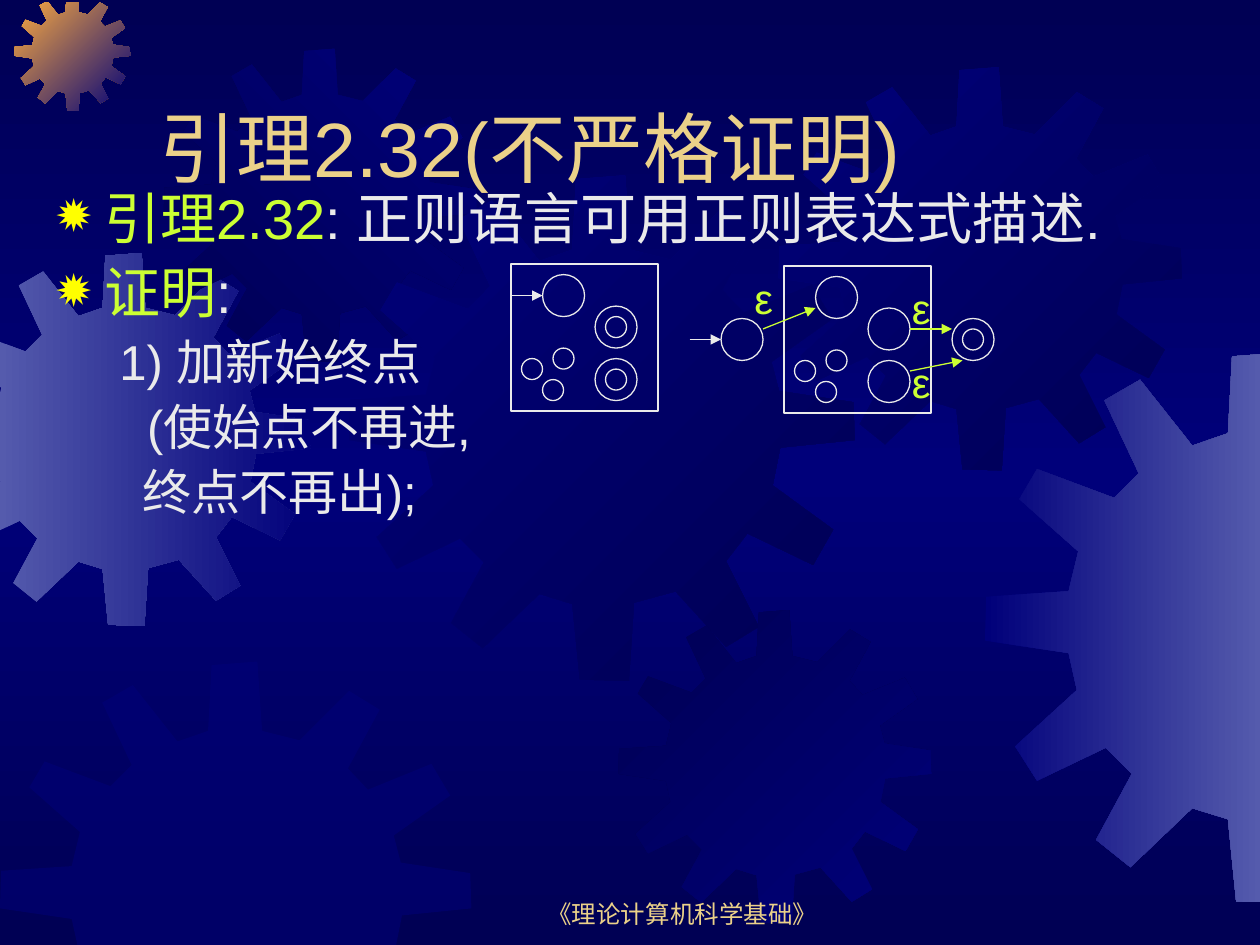
from copy import deepcopy

from pptx import Presentation
from pptx import util as u
from pptx.dml.color import RGBColor
from pptx.enum import shapes, text
from pptx.oxml import ns, parse_xml

NAVY, BLUE = RGBColor(0x00, 0x00, 0x54), RGBColor(0x00, 0x00, 0x7A)
LILAC, ORANGE = RGBColor(0x55, 0x5B, 0xAD), RGBColor(0xFC, 0xAB, 0x40)
GOLD, LIME = RGBColor(0xEB, 0xD1, 0x89), RGBColor(0xCC, 0xFF, 0x33)
YELLOW, PALE = RGBColor(0xFF, 0xFF, 0x00), RGBColor(0xEA, 0xEA, 0xEA)

COLUMNS, ROWS = 120, 90
UNIT = u.Inches(10) / COLUMNS
GEAR_EDGES = [(0, -0.12, 1), (0, COLUMNS + 0.12, -1), (1, 0.24, 1), (1, ROWS + 0.48, -1)]
GEAR_SPAN = 401
GEAR_OUTLINE = [
    (255, 67), (223, 59), (219, 0), (180, 3), (177, 59), (151, 68), (113, 20), (87, 35),
    (112, 88), (94, 106), (38, 85), (25, 107), (68, 145), (61, 174), (1, 178), (0, 210),
    (61, 219), (67, 246), (22, 287), (38, 312), (88, 288), (107, 307), (81, 355), (106, 375),
    (151, 332), (177, 340), (183, 400), (222, 401), (226, 339), (259, 330), (299, 374), (325, 358),
    (299, 306), (316, 284), (368, 309), (384, 281), (336, 246), (342, 216), (401, 210), (400, 180),
    (341, 171), (335, 148), (383, 114), (367, 87), (313, 109), (296, 91), (323, 41), (297, 25)]
GEARS = [
    (-5.9, 24.1, 35.5, (LILAC, BLUE), 0),
    (1.4, -0.44, 11, (ORANGE, BLUE), 45),
    (15.6, 4.65, 29.8, (NAVY, BLUE), 315),
    (33.25, 16.7, 48.15, (BLUE, NAVY), 45),
    (0, 63, 44.9, (BLUE,), 0),
    (58.9, 58.1, 29.8, (NAVY, BLUE), 45),
    (74.15, 6.4, 38.4, (BLUE, NAVY), 45),
    (93.8, 33.55, 52.45, (BLUE, LILAC), 0)]


def grid(*lengths):
    """Turn grid lengths into EMU."""
    return [u.Emu(round(length * UNIT)) for length in lengths]


def apply(target, values):
    """Set each named attribute of the target."""
    for name, value in values.items():
        setattr(target, name, value)


def paint_gradient(fill, colors, angle):
    """Fill with two colours along a clockwise angle."""
    fill.gradient()
    fill.gradient_angle = -angle % 360
    for stop, position, color in zip(fill.gradient_stops, (0, 1), colors):
        stop.position = position
        stop.color.rgb = color


def paint_background(slide):
    """Paint the slide from navy through blue and back to navy."""
    fill = slide.background.fill
    paint_gradient(fill, (NAVY, BLUE), 90)
    stops = slide.element.find(".//" + ns.qn("a:gsLst"))
    stops.append(deepcopy(stops[0]))
    for stop, position in zip(fill.gradient_stops, (0, 0.5, 1)):
        stop.position = position


def clip(points, axis, limit, side):
    """Cut a polygon along one straight edge."""
    kept = []
    for start, end in zip(points[-1:] + points[:-1], points):
        before, after = (side * (point[axis] - limit) for point in (start, end))
        if before * after < 0:
            share = before / (before - after)
            kept.append(tuple(a + share * (b - a) for a, b in zip(start, end)))
        if after >= 0:
            kept.append(end)
    return kept


def add_gear(slide, left, top, size, colors, angle):
    """Draw one gear, cut at the slide's edges."""
    scale = size / GEAR_SPAN
    points = [(left + x * scale, top + y * scale) for x, y in GEAR_OUTLINE]
    for edge in GEAR_EDGES:
        points = clip(points, *edge)
    first, *others = [grid(*point) for point in points]
    builder = slide.shapes.build_freeform(*first)
    builder.add_line_segments(others, close=True)
    shape = builder.convert_to_shape()
    shape.shadow.inherit = False
    shape.line.fill.background()
    if len(colors) > 1:
        paint_gradient(shape.fill, colors, angle)
        return
    shape.fill.solid()
    shape.fill.fore_color.rgb = colors[0]
    color = shape.element.spPr.find(".//" + ns.qn("a:srgbClr"))
    color.append(color.makeelement(ns.qn("a:alpha"), {"val": "50000"}))


def add_bullet(paragraph):
    """Give a paragraph the yellow star bullet."""
    properties = paragraph._p.get_or_add_pPr()
    namespace = ns.nsdecls("a")
    for markup in (f'<a:buClr {namespace}><a:srgbClr val="{YELLOW}"/></a:buClr>',
                   f'<a:buSzPct {namespace} val="105000"/>',
                   f'<a:buChar {namespace} char="✹"/>'):
        properties.append(parse_xml(markup))


def add_text(parent, box, paragraphs, anchor=text.MSO_ANCHOR.TOP):
    """Add a text box of (runs, size, paragraph format, indents, bullet) entries."""
    frame = parent.shapes.add_textbox(*grid(*box)).text_frame
    apply(frame, {"word_wrap": True, "vertical_anchor": anchor})
    for index, (runs, size, layout, indents, bullet) in enumerate(paragraphs):
        paragraph = frame.add_paragraph() if index else frame.paragraphs[0]
        apply(paragraph, layout)
        if indents:
            properties = paragraph._p.get_or_add_pPr()
            for name, length in zip(("marL", "indent"), indents):
                properties.set(name, str(u.Inches(length)))
        if bullet:
            add_bullet(paragraph)
        for words, color in runs:
            run = paragraph.add_run()
            run.text = words
            apply(run.font, {"name": "Arial", "size": u.Pt(size)})
            run.font.color.rgb = color


def add_outline(group, kind, origin, column, row, size):
    """Draw an unfilled square or circle at a place in a diagram."""
    shape = group.shapes.add_shape(kind, *grid(origin[0] + column, origin[1] + row, size, size))
    shape.shadow.inherit = False
    shape.fill.background()
    shape.line.color.rgb = PALE
    shape.line.width = u.Pt(0.75)


def add_arrow(group, origin, start, end, color):
    """Draw a straight arrow between two places in a diagram."""
    ends = [a + b for point in (start, end) for a, b in zip(origin, point)]
    connector = group.shapes.add_connector(shapes.MSO_CONNECTOR.STRAIGHT, *grid(*ends))
    connector.line.color.rgb = color
    connector.line.width = u.Pt(0.75)
    namespace = ns.nsdecls("a")
    line = connector._element.spPr.find(ns.qn("a:ln"))
    line.append(parse_xml(f'<a:tailEnd {namespace} type="triangle"/>'))
    connector._element.spPr.append(parse_xml(f"<a:effectLst {namespace}/>"))


def add_automaton(slide, origin, circles, rings, arrows, labels=()):
    """Draw a boxed automaton with the given extra states, rings, arrows and ε labels."""
    group = slide.shapes.add_group_shape()
    add_outline(group, shapes.MSO_SHAPE.RECTANGLE, origin, 0, 0, 14)
    for size, places in ((4, [(3, 1), (8, 4), (8, 9)] + circles),
                         (2, [(4, 8), (1, 9), (3, 11)] + rings)):
        for place in places:
            add_outline(group, shapes.MSO_SHAPE.OVAL, origin, *place, size)
    for arrow in arrows:
        add_arrow(group, origin, *arrow)
    for column, row in labels:
        add_text(group, (origin[0] + column, origin[1] + row, 5, 6), [([("ε", LIME)], 24, {}, None, False)])


def add_body(slide):
    """Add the lemma and the first step of its proof."""
    first = {"line_spacing": 0.9}
    point = {"line_spacing": 0.9, "space_before": u.Pt(8)}
    step = {"line_spacing": 0.9, "space_before": u.Pt(7), "level": 1}
    hanging, numbered = (0.38, -0.38), (0.81, -0.31)
    add_text(slide, (4.2, 17.6, 102, 54.8), [
        ([("引理2.32", LIME), (": 正则语言可用正则表达式描述.", PALE)], 32, first, hanging, True),
        ([("证明", LIME), (":", PALE)], 32, point, hanging, True),
        ([("1) 加新始终点", PALE)], 28, step, numbered, False),
        ([("(使始点不再进,", PALE)], 28, step, (0.72, 0), False),
        ([("终点不再出);", PALE)], 28, step, (0.68, 0), False)])


def main():
    """Build and save the slide."""
    presentation = Presentation()
    apply(presentation, dict(zip(("slide_width", "slide_height"), grid(COLUMNS, ROWS))))
    slide = presentation.slides.add_slide(presentation.slide_layouts[6])
    paint_background(slide)
    for gear in GEARS:
        add_gear(slide, *gear)
    bottom = text.MSO_ANCHOR.BOTTOM
    centred = {"alignment": text.PP_ALIGN.CENTER}
    add_text(slide, (46, 83, 38, 6), [([("《理论计算机科学基础》", GOLD)], 14, centred, None, False)], bottom)
    add_text(slide, (14, 4, 102, 15), [([("引理2.32(不严格证明)", GOLD)], 44, {}, None, False)], bottom)
    add_body(slide)
    add_automaton(slide, (48.67, 25.15), [], [(9, 5), (9, 10)], [((0, 3), (3, 3), PALE)])
    add_automaton(slide, (74.67, 25.33), [(-6, 5), (16, 5)], [(17, 6)], [
        ((-9, 7), (-6, 7), PALE), ((-2, 6), (3, 4), LIME),
        ((12, 6), (16, 6), LIME), ((12, 10), (17, 9), LIME)], [(-4, 0), (11, 1), (11, 8)])
    presentation.save("out.pptx")


if __name__ == "__main__":
    main()
